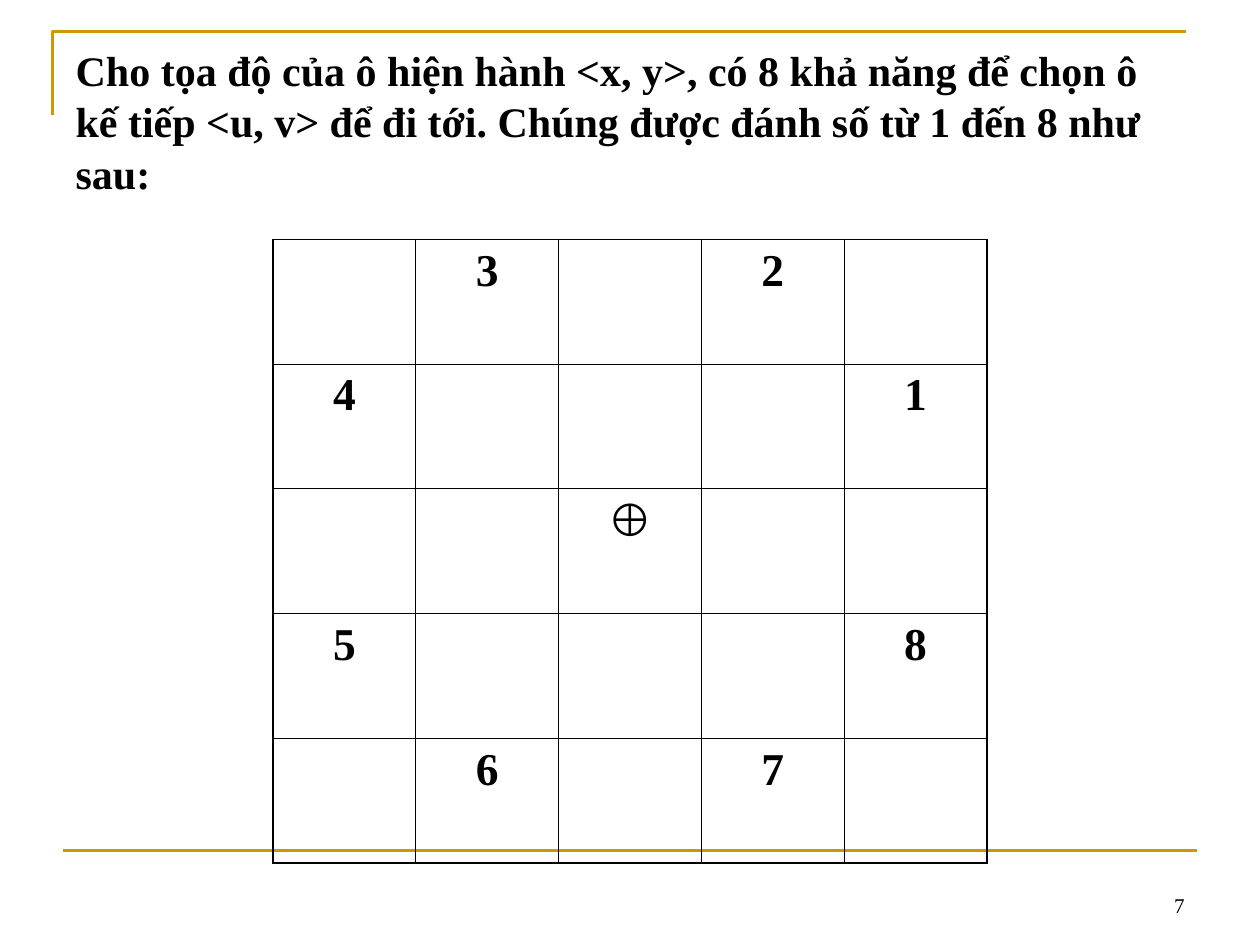
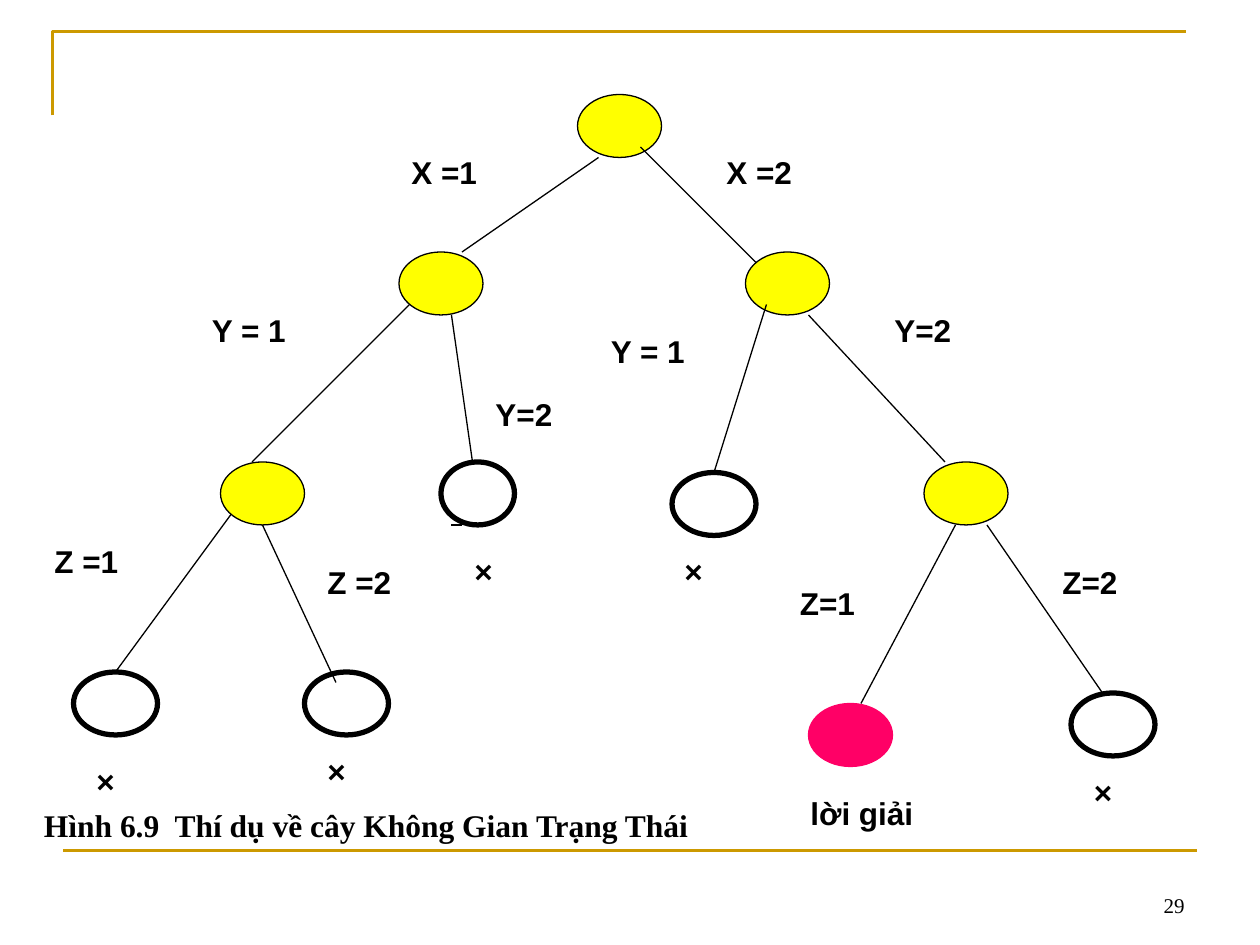
from lxml import etree
from pptx import Presentation
from pptx.dml.color import RGBColor
from pptx.enum import shapes, text
from pptx.oxml import ns
from pptx.util import Pt

BLACK, GOLD, YELLOW, PINK = "000000", "CC9900", "FFFF00", "FF0066"
SERIF, SANS = "Times New Roman", "Arial"
TITLE_ONLY, BLANK = 5, 6
THIN, THICK = 0.45, 1.08


def color(value):
    return RGBColor.from_string(value)


def assign(target, values):
    for name, value in values.items():
        setattr(target, name, value)


class Deck:
    """Holds the shared style and the slide being drawn."""

    def __init__(self):
        self.prs = Presentation()
        assign(self.prs, {"slide_width": Pt(720), "slide_height": Pt(540)})
        self.slide = None

    def new_slide(self, number, layout):
        self.slide = self.prs.slides.add_slide(self.prs.slide_layouts[layout])
        corner = self.slide.shapes.build_freeform(Pt(30), Pt(66))
        corner.add_line_segments([(Pt(30), Pt(18)), (Pt(678), Pt(18))], close=False)
        bracket = corner.convert_to_shape()
        bracket.shadow.inherit = False
        bracket.fill.background()
        self.outline(bracket, GOLD, 1.5)
        self.line((36, 486), (684, 486), GOLD, 1.5)
        self.label(number, 516, 492, 168, 36, size=12, font=SERIF, bold=False,
                   align=text.PP_ALIGN.RIGHT, anchor=text.MSO_ANCHOR.BOTTOM,
                   fit=text.MSO_AUTO_SIZE.NONE)

    def outline(self, shape, line_color, width):
        shape.line.color.rgb = color(line_color)
        shape.line.width = Pt(width)

    def put_words(self, frame, words, size, font=SANS, bold=True, align=text.PP_ALIGN.LEFT):
        paragraph = frame.paragraphs[0]
        paragraph.alignment = align
        run = paragraph.add_run()
        run.text = words
        assign(run.font, {"size": Pt(size), "name": font, "bold": bold})
        run.font.color.rgb = color(BLACK)
        return paragraph

    def box_format(self, frame, anchor, fit):
        assign(frame, {"word_wrap": True, "auto_size": fit, "vertical_anchor": anchor,
                       "margin_left": Pt(7.2), "margin_right": Pt(7.2),
                       "margin_top": Pt(3.6), "margin_bottom": Pt(3.6)})

    def title(self, words):
        title = self.slide.shapes.title
        assign(title, {"left": Pt(36), "top": Pt(21.6), "width": Pt(648), "height": Pt(90)})
        self.box_format(title.text_frame, text.MSO_ANCHOR.TOP, text.MSO_AUTO_SIZE.NONE)
        paragraph = self.put_words(title.text_frame, words, 24, SERIF)
        paragraph.line_spacing = Pt(29.2)

    def label(self, words, left, top, width, height=28.8, size=18, font=SANS, bold=True,
              align=text.PP_ALIGN.LEFT, anchor=text.MSO_ANCHOR.TOP,
              fit=text.MSO_AUTO_SIZE.SHAPE_TO_FIT_TEXT):
        box = self.slide.shapes.add_textbox(Pt(left), Pt(top), Pt(width), Pt(height))
        self.box_format(box.text_frame, anchor, fit)
        self.put_words(box.text_frame, words, size, font, bold, align)

    def line(self, start, end, line_color=BLACK, width=0.75):
        points = [Pt(value) for value in (*start, *end)]
        line = self.slide.shapes.add_connector(shapes.MSO_CONNECTOR.STRAIGHT, *points)
        self.outline(line, line_color, width)
        etree.SubElement(line._element.spPr, ns.qn("a:effectLst"))
        return line

    def node(self, left, top, fill=None, line_color=BLACK, width=48):
        node = self.slide.shapes.add_shape(
            shapes.MSO_SHAPE.OVAL, Pt(left), Pt(top), Pt(width), Pt(36))
        node.shadow.inherit = False
        if fill:
            node.fill.solid()
            node.fill.fore_color.rgb = color(fill)
        else:
            node.fill.background()
        self.outline(node, line_color, 0.75 if fill else 3)
        return node

    def border(self, cell, side, width):
        properties = cell._tc.get_or_add_tcPr()
        edge = etree.SubElement(properties, ns.qn(f"a:ln{side}"), w=str(Pt(width)))
        fill = etree.SubElement(edge, ns.qn("a:solidFill"))
        etree.SubElement(fill, ns.qn("a:srgbClr"), val=BLACK)

    def board(self, rows, left, top, col_width, row_height):
        last = len(rows) - 1
        table = self.slide.shapes.add_table(
            len(rows), len(rows), Pt(left), Pt(top),
            Pt(col_width * len(rows)), Pt(row_height * len(rows))).table
        assign(table, {"first_row": False, "horz_banding": False})
        for r, row in enumerate(rows):
            table.rows[r].height = Pt(row_height)
            table.columns[r].width = Pt(col_width)
            for c, mark in enumerate(row):
                cell = table.cell(r, c)
                outer = {"L": c == 0, "R": c == last, "T": r == 0, "B": r == last}
                for side, is_outer in outer.items():
                    self.border(cell, side, THICK if is_outer else THIN)
                cell.fill.background()
                if mark.strip():
                    self.put_words(cell.text_frame, mark, 26, SANS if mark == "⊕" else SERIF,
                                   align=text.PP_ALIGN.CENTER)


def knight_moves(deck):
    deck.new_slide("7", TITLE_ONLY)
    deck.title("Cho tọa độ của ô hiện hành <x, y>, có 8 khả năng để chọn ô kế tiếp "
               "<u, v> để đi tới. Chúng được đánh số từ 1 đến 8 như sau:")
    deck.board([" 3 2 ", "4   1", "  ⊕  ", "5   8", " 6 7 "], 156, 136.8, 81.6, 71.28)


def state_space_tree(deck):
    deck.new_slide("29", BLANK)
    for left, top in [(330, 54), (228, 144), (426, 144), (126, 264), (528, 264)]:
        deck.node(left, top, YELLOW)
    first_dead_end = deck.node(42, 384)
    middle_dead_end = deck.node(384, 270)
    deck.node(174, 384)
    deck.node(612, 396)
    deck.node(252, 264, width=42)
    deck.node(462, 402, PINK, PINK)

    branches = [
        ((342, 90), (264, 144)), ((366, 84), (432, 150)),
        ((234, 174), (144, 264)), ((258, 180), (270, 264)),
        ((462, 180), (540, 264)), ((150, 300), (192, 390)),
        ((264, 300), (258, 300)), ((546, 300), (492, 402)),
        ((564, 300), (630, 396)),
    ]
    for start, end in branches:
        deck.line(start, end)
    deck.line((132, 294), (66, 384)).end_connect(first_dead_end, 0)
    deck.line((438, 174), (408, 270)).end_connect(middle_dead_end, 0)

    choices = [
        ("X =1", 228, 84, 54), ("X =2", 408, 84, 60),
        ("Y = 1", 114, 174, 72), ("Y=2", 276, 222, 54),
        ("Y = 1", 342, 186, 72), ("Y=2", 504, 174, 84),
        ("Z =1", 24, 306, 66), ("Z =2", 180, 318, 66),
        ("Z=1", 450, 330, 54), ("Z=2", 600, 318, 78),
        ("lời giải", 456, 450, 90),
    ]
    dead_ends = [(48, 432, 30), (264, 312, 36), (384, 312, 42), (618, 438, 36), (180, 426, 48)]
    for choice in choices + [("×", *place) for place in dead_ends]:
        deck.label(*choice)
    deck.label("Hình 6.9  Thí dụ về cây Không Gian Trạng Thái", 18, 457.2, 420, font=SERIF)


def main():
    deck = Deck()
    knight_moves(deck)
    state_space_tree(deck)
    deck.prs.save("out.pptx")


if __name__ == "__main__":
    main()
